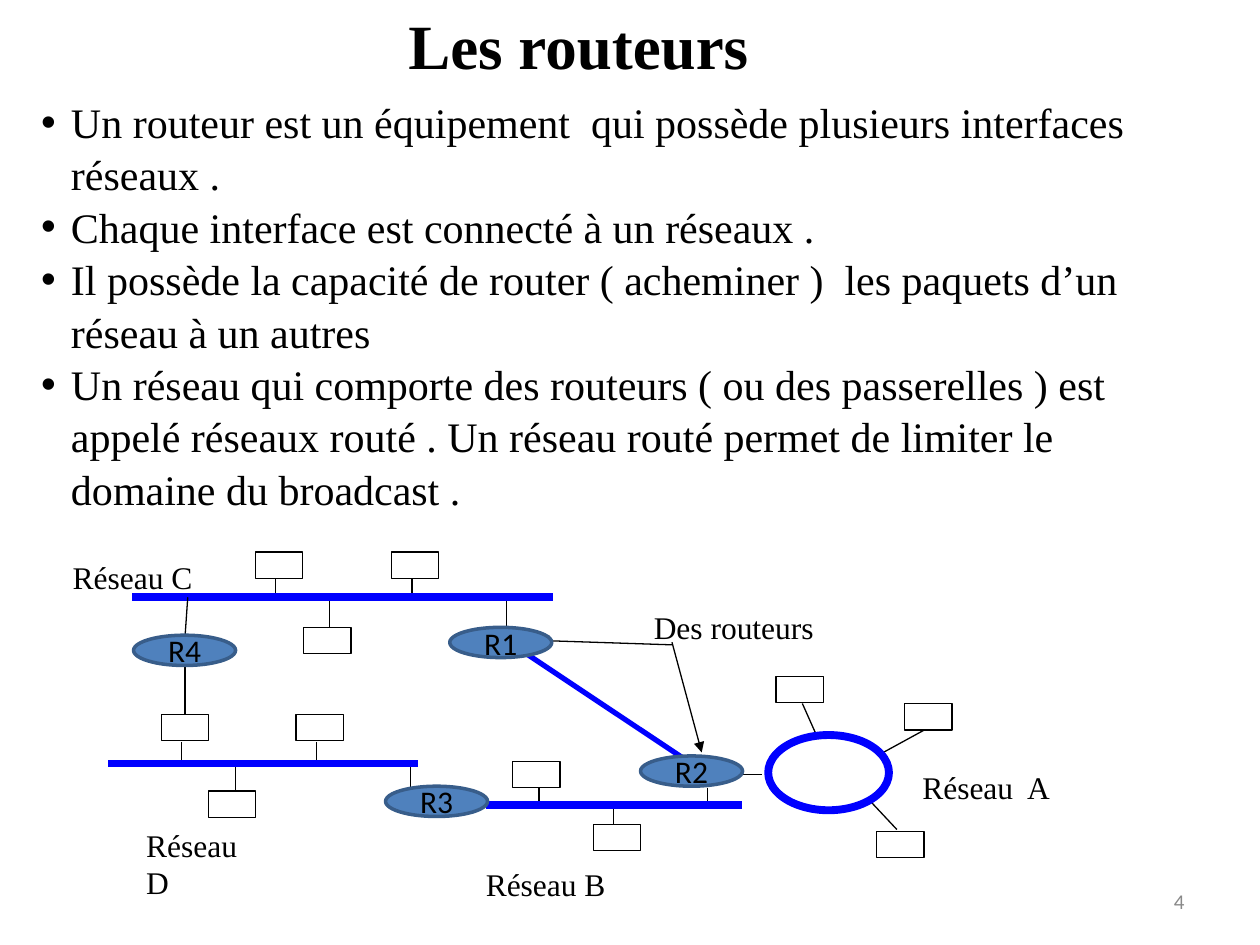
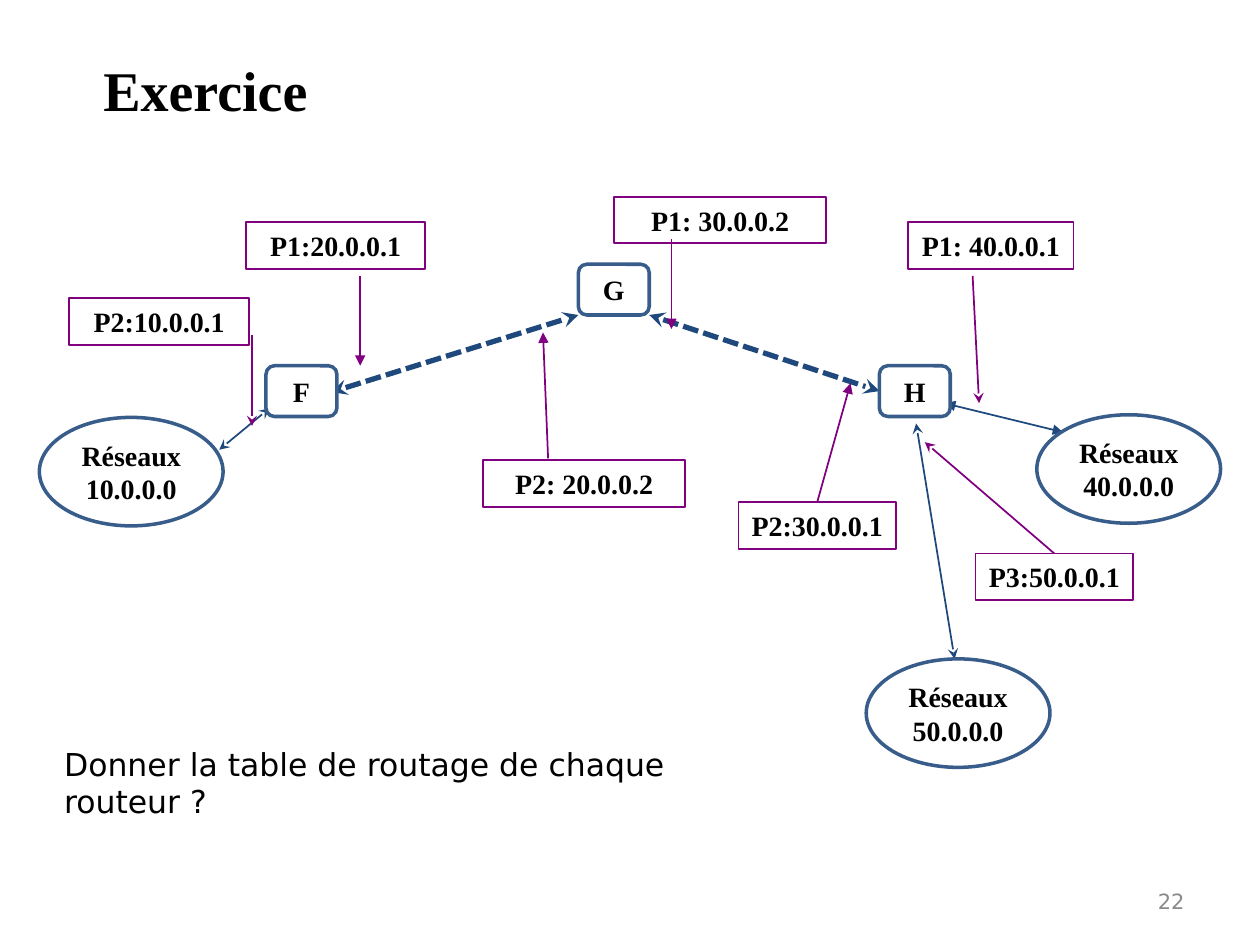
from lxml import etree
from pptx import Presentation
from pptx.dml.color import RGBColor
from pptx.enum import dml, shapes, text
from pptx.oxml import ns
from pptx.util import Pt

# Shared colours and fonts
BLACK = RGBColor(0, 0, 0)
WHITE = RGBColor(255, 255, 255)
GREY = RGBColor(0x89, 0x89, 0x89)
BUS_BLUE = RGBColor(0, 0, 255)
ROUTER_FILL = RGBColor(0x4F, 0x81, 0xBD)
ROUTER_LINE = RGBColor(0x38, 0x5D, 0x8A)
LINK_NAVY = RGBColor(0x1F, 0x49, 0x7D)
PORT_PURPLE = RGBColor(0x80, 0, 0x80)
SERIF, SANS, CALIBRI = "Times New Roman", "DejaVu Sans", "Calibri"

LEFT, CENTER, RIGHT = text.PP_ALIGN.LEFT, text.PP_ALIGN.CENTER, text.PP_ALIGN.RIGHT
TOP, MIDDLE = text.MSO_ANCHOR.TOP, text.MSO_ANCHOR.MIDDLE
RECT = shapes.MSO_SHAPE.RECTANGLE
ROUNDED = shapes.MSO_SHAPE.ROUNDED_RECTANGLE
OVAL = shapes.MSO_SHAPE.OVAL

# Slide 1 content
ROUTER_FACTS = [
    "Un routeur est un équipement  qui possède plusieurs interfaces réseaux .",
    "Chaque interface est connecté à un réseaux .",
    "Il possède la capacité de router ( acheminer )  les paquets d’un réseau à un autres",
    "Un réseau qui comporte des routeurs ( ou des passerelles ) est appelé réseaux routé . "
    "Un réseau routé permet de limiter le domaine du broadcast .",
]
NETWORK_LABELS = [  # text, left, top, width
    ("Réseau C", 34.5, 315.5, 83), ("Des routeurs", 366.5, 344, 106),
    ("Réseau  A", 520, 435, 88.5), ("Réseau B", 270.5, 491, 87), ("Réseau D", 76.5, 479, 83.5),
]
BUSES = [  # y, left, right, stubs as (x, far y)
    (341.3, 75.5, 316, [(157.5, 330.5), (188.5, 358.5), (235.5, 330.5), (289.5, 358.5)]),
    (460, 278, 424, [(308, 450), (350.5, 471), (404.5, 450)]),
    (436.3, 62, 239, [(103.7, 424), (134.5, 452), (180.7, 424), (234.7, 452)]),
]
RING = (439, 420, 69, 43)
RING_LINKS = [
    (420.5, 442.5, 435.5, 442.5), (458.5, 402, 466.5, 420),
    (528.5, 417, 504.7, 430), (512.5, 474, 497.5, 458),
]
HOSTS = [
    (146, 315.5), (223.5, 315.5), (173.5, 358.5), (443.5, 386.5), (517, 402), (501, 475),
    (293, 435), (339, 471), (92.3, 408.2), (169.2, 408.2), (119, 452),
]
HOST_UNDER_R4 = (92.3, 408.2)
HOST_SIZE = (27, 15.1)
ROUTERS = {"R1": (257, 358.5), "R2": (366, 432), "R3": (220.3, 449.3), "R4": (76.3, 363)}
ROUTER_SIZE = (58.3, 17.3)
ROUTER_POINTERS = [(384, 368.5, 308, 366), (384, 367, 401, 430)]

# Slide 2 content
NODES = {"F": (152, 209), "G": (330.5, 151), "H": (502.5, 209)}
NODE_SIZE = (40.5, 29)
NETWORKS = {
    "Réseaux 40.0.0.0": (592.5, 237), "Réseaux 10.0.0.0": (22.5, 238.5),
    "Réseaux 50.0.0.0": (495, 376.5),
}
NETWORK_SIZE = (105, 62)
PORTS = {  # left, top, width
    "P2:10.0.0.1": (39.5, 170.5, 103), "P2: 20.0.0.2": (276, 263, 115.5),
    "P2:30.0.0.1": (422, 287, 90), "P1:20.0.0.1": (140.5, 127, 102.5),
    "P1: 40.0.0.1": (519, 127, 94.5), "P1: 30.0.0.2": (351, 112.5, 121),
    "P3:50.0.0.1": (557.5, 316.3, 90),
}
PORT_HEIGHT = 26.6
ROUTER_LINKS = [(189.5, 224, 330.5, 180), (371, 180, 502.5, 223.5)]
NETWORK_LINKS = [  # ends, arrowhead
    ((125.3, 257, 154, 233.3), "stealth"), ((540, 230.5, 607.5, 247), "triangle"),
    ((523.5, 242, 545.5, 376.5), "stealth"),
]
PORT_POINTERS = [  # from port to interface, arrowhead, port whose top side it leaves
    ((313.2, 262, 310.3, 190), "triangle", None),
    ((467, 287, 486, 219), "triangle", "P2:30.0.0.1"),
    ((205.8, 157.7, 205.8, 209), "triangle", None),
    ((383.7, 136.8, 383.7, 188), "triangle", None),
    ((555.8, 157.7, 559.5, 230.4), "stealth", None),
    ((144, 191.5, 144, 243.4), "stealth", None),
    ((602.5, 316.3, 528.5, 252.7), "stealth", "P3:50.0.0.1"),
]


def write(frame, content, size=18, font=SERIF, color=BLACK, bold=False, align=LEFT,
          anchor=TOP, wrap=True, bullet=False):
    """Fill a text frame with one string or a list of paragraphs."""
    frame.word_wrap = wrap
    frame.vertical_anchor = anchor
    paragraphs = [content] if isinstance(content, str) else content
    for number, line in enumerate(paragraphs):
        para = frame.paragraphs[0] if number == 0 else frame.add_paragraph()
        para.alignment = align
        run = para.add_run()
        run.text = line
        run.font.size, run.font.name, run.font.bold = Pt(size), font, bold
        run.font.color.rgb = color
        if bullet:
            para.line_spacing = 1.04
            props = para._p.get_or_add_pPr()
            props.set("marL", str(Pt(17)))
            props.set("indent", str(-Pt(17)))
            etree.SubElement(props, ns.qn("a:buFont"), typeface="Arial")
            etree.SubElement(props, ns.qn("a:buChar"), char="•")


def add_text(slide, content, left, top, width, height, **style):
    box = slide.shapes.add_textbox(Pt(left), Pt(top), Pt(width), Pt(height))
    write(box.text_frame, content, **style)


def add_box(slide, kind, left, top, width, height, line, weight, fill=None, label=None, **style):
    box = slide.shapes.add_shape(kind, Pt(left), Pt(top), Pt(width), Pt(height))
    box.shadow.inherit = False
    if fill is None:
        box.fill.background()
    else:
        box.fill.solid()
        box.fill.fore_color.rgb = fill
    box.line.color.rgb, box.line.width = line, Pt(weight)
    if label:
        write(box.text_frame, label, align=CENTER, **style)
    return box


def add_line(slide, ends, color=BLACK, weight=0.75, head=None, tail=None, dashed=False):
    link = slide.shapes.add_connector(shapes.MSO_CONNECTOR.STRAIGHT, *map(Pt, ends))
    link.line.color.rgb, link.line.width = color, Pt(weight)
    if dashed:
        link.line.dash_style = dml.MSO_LINE.SQUARE_DOT
    outline = link.line._get_or_add_ln()
    for tag, arrow in (("a:headEnd", head), ("a:tailEnd", tail)):
        if arrow:
            etree.SubElement(outline, ns.qn(tag), type=arrow)
    etree.SubElement(link._element.spPr, ns.qn("a:effectLst"))
    return link


def start_slide(deck, title, place, size, page, page_font, **style):
    """Add a blank slide with its title and page number."""
    slide = deck.slides.add_slide(deck.slide_layouts[6])
    add_text(slide, title, *place, size=size, bold=True, wrap=False, **style)
    add_text(slide, page, 516, 500.5, 168, 28.8, size=12, font=page_font, color=GREY,
             align=RIGHT, anchor=MIDDLE)
    return slide


def build_routers(deck):
    slide = start_slide(deck, "Les routeurs ", (226, 0, 218, 50.5), 36, "4", CALIBRI, align=CENTER)
    add_text(slide, ROUTER_FACTS, 16.5, 50.5, 669.5, 237.5, size=24, bullet=True)
    for label, left, top, width in NETWORK_LABELS:
        add_text(slide, label, left, top, width, 28.8, anchor=MIDDLE, wrap=False)

    # Buses with their stubs, and the ring
    for y, left, right, stubs in BUSES:
        for x, far in stubs:
            add_line(slide, (x, far, x, y))
        add_line(slide, (left, y, right, y), BUS_BLUE, 4.5)
    for ends in RING_LINKS:
        add_line(slide, ends)
    add_box(slide, OVAL, *RING, BUS_BLUE, 4.5)

    # Links of the routers
    add_line(slide, (301, 373.7, 393, 435), BUS_BLUE, 3)
    for ends in ROUTER_POINTERS:
        add_line(slide, ends, tail="triangle")
    add_line(slide, (107.3, 341.3, 105.8, 363))
    r4_to_host = add_line(slide, (105.8, 408.2, 105.8, 380.3))

    # Hosts and routers
    hosts = {place: add_box(slide, RECT, *place, *HOST_SIZE, BLACK, 0.75, WHITE)
             for place in HOSTS}
    r4_to_host.begin_connect(hosts[HOST_UNDER_R4], 0)
    for name, place in ROUTERS.items():
        add_box(slide, OVAL, *place, *ROUTER_SIZE, ROUTER_LINE, 2, ROUTER_FILL, name,
                font=CALIBRI, anchor=MIDDLE)


def build_exercise(deck):
    slide = start_slide(deck, "Exercice", (52, 28, 136, 46), 32, "22", SANS)
    add_text(slide, "Donner la table de routage de chaque routeur ?", 29.5, 422, 422, 50.5,
             font=SANS)

    # Links and pointers lie under the boxes
    router_links = [add_line(slide, ends, LINK_NAVY, 3, "stealth", "stealth", dashed=True)
                    for ends in ROUTER_LINKS]
    for ends, arrow in NETWORK_LINKS:
        add_line(slide, ends, LINK_NAVY, 1, arrow, arrow)
    pointers = [(add_line(slide, ends, PORT_PURPLE, 1, tail=arrow), port)
                for ends, arrow, port in PORT_POINTERS]

    # Ports, routers and networks
    bold = dict(size=16, bold=True)
    ports = {name: add_box(slide, RECT, *place, PORT_HEIGHT, PORT_PURPLE, 1, None, name, **bold)
             for name, place in PORTS.items()}
    nodes = {name: add_box(slide, ROUNDED, *place, *NODE_SIZE, ROUTER_LINE, 2, WHITE, name,
                           anchor=MIDDLE, **bold)
             for name, place in NODES.items()}
    for name, place in NETWORKS.items():
        add_box(slide, OVAL, *place, *NETWORK_SIZE, ROUTER_LINE, 2, WHITE, name,
                anchor=MIDDLE, **bold)

    # Joins at the middle of a side
    router_links[1].end_connect(nodes["H"], 1)
    for pointer, port in pointers:
        if port:
            pointer.begin_connect(ports[port], 0)


def main():
    deck = Presentation()
    deck.slide_width, deck.slide_height = Pt(720), Pt(540)
    build_routers(deck)
    build_exercise(deck)
    deck.save("out.pptx")


if __name__ == "__main__":
    main()
